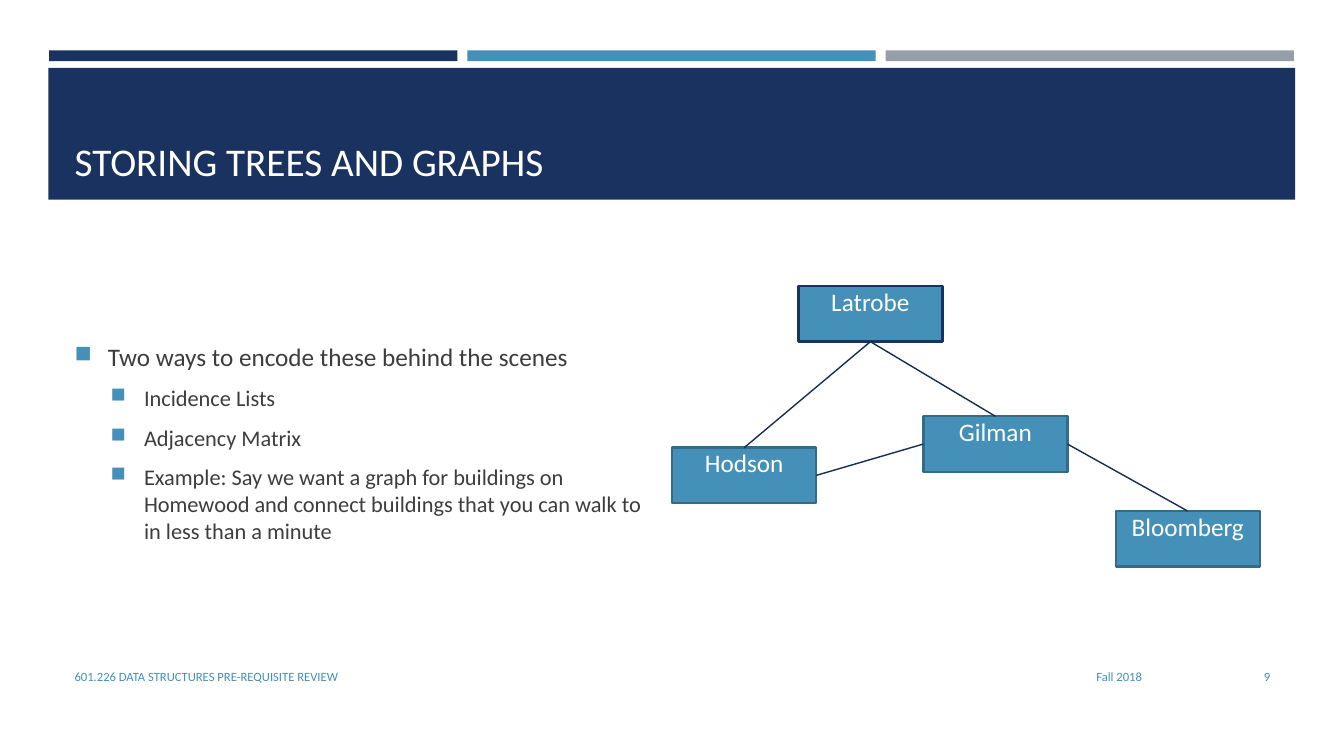
from dataclasses import dataclass

from lxml import etree
from pptx import Presentation
from pptx.dml.color import RGBColor
from pptx.enum.shapes import MSO_CONNECTOR, MSO_SHAPE
from pptx.enum.text import MSO_ANCHOR, PP_ALIGN
from pptx.oxml.ns import qn
from pptx.util import Cm, Pt

RECT, STRAIGHT = MSO_SHAPE.RECTANGLE, MSO_CONNECTOR.STRAIGHT
TOP_ANCHOR, MIDDLE, BOTTOM_ANCHOR = MSO_ANCHOR.TOP, MSO_ANCHOR.MIDDLE, MSO_ANCHOR.BOTTOM
LEFT_ALIGN, CENTER, RIGHT_ALIGN = PP_ALIGN.LEFT, PP_ALIGN.CENTER, PP_ALIGN.RIGHT

FONT = "Calibri"
NAVY, BLUE, GRAY = "1A3260", "4590B8", "969FA7"
WHITE, TEXT, NODE_LINE, EDGE_LINE = "FFFFFF", "3D3D3D", "336B88", "172D56"
MARGIN = 1.63
NODE_W, NODE_H = 3.63, 1.4
TOP, LEFT, BOTTOM, RIGHT = range(4)  # connection sites of a rectangle


@dataclass
class Node:
    """A building in the graph."""
    name: str
    x: float
    y: float
    line: str = NODE_LINE


@dataclass
class Edge:
    """A walk between two buildings, with the side used at each end."""
    start: str
    start_site: int
    end: str
    end_site: int


@dataclass
class Bullet:
    """A line of the bulleted list."""
    text: str
    level: int = 1


@dataclass
class Footer:
    """A text in the footer row."""
    text: str
    x: float
    w: float
    align: PP_ALIGN = RIGHT_ALIGN


NODES = [
    Node("Latrobe", 20.12, 7.21, NAVY),
    Node("Hodson", 16.94, 11.28),
    Node("Bloomberg", 28.12, 12.88),
    Node("Gilman", 23.27, 10.49),
]
EDGES = [
    Edge("Latrobe", BOTTOM, "Hodson", TOP),
    Edge("Gilman", RIGHT, "Bloomberg", TOP),
    Edge("Gilman", LEFT, "Hodson", RIGHT),
    Edge("Latrobe", BOTTOM, "Gilman", TOP),
]
BULLETS = [
    Bullet("Two ways to encode these behind the scenes", 0),
    Bullet("Incidence Lists"),
    Bullet("Adjacency Matrix"),
    Bullet("Example: Say we want a graph for buildings on Homewood and connect "
           "buildings that you can walk to in less than a minute"),
]
FOOTERS = [
    Footer("Fall 2018", 21.13, 7.9),
    Footer("601.226 DATA STRUCTURES PRE-REQUISITE REVIEW", MARGIN, 19.2, LEFT_ALIGN),
    Footer("9", 29.34, 2.92),
]


def rgb(color: str) -> RGBColor:
    """Turn a hex string into a colour."""
    return RGBColor.from_string(color)


def write(p, text: str, *, size: float, color: str, align: PP_ALIGN = LEFT_ALIGN) -> None:
    """Write formatted text into a paragraph."""
    p.alignment = align
    r = p.add_run()
    r.text = text
    r.font.name, r.font.size = FONT, Pt(size)
    r.font.color.rgb = rgb(color)


def add_rect(s, x: float, y: float, w: float, h: float, fill: str, line: str = ""):
    """Add a flat rectangle, outlined if a line colour is given."""
    sp = s.shapes.add_shape(RECT, Cm(x), Cm(y), Cm(w), Cm(h))
    sp.shadow.inherit = False
    sp.fill.solid()
    sp.fill.fore_color.rgb = rgb(fill)
    if line:
        sp.line.color.rgb = rgb(line)
        sp.line.width = Pt(1.75)
    else:
        sp.line.fill.background()
    return sp


def add_frame(s, x: float, y: float, w: float, h: float, anchor: MSO_ANCHOR):
    """Add a wrapping text box and return its text frame."""
    tf = s.shapes.add_textbox(Cm(x), Cm(y), Cm(w), Cm(h)).text_frame
    tf.word_wrap = True
    tf.vertical_anchor = anchor
    return tf


def add_bullets(tf, bullets: list[Bullet]) -> None:
    """Fill a text frame with square-bulleted lines."""
    for i, b in enumerate(bullets):
        p = tf.add_paragraph() if i else tf.paragraphs[0]
        p.level = b.level
        p.space_before, p.space_after = Pt(3), Pt(6)
        write(p, b.text, size=16 if b.level else 18, color=TEXT)
        pPr = p._p.get_or_add_pPr()
        pPr.set("marL", str(Cm(0.84 + 0.91 * b.level)))
        pPr.set("indent", str(-Cm(0.84)))
        clr = etree.SubElement(pPr, qn("a:buClr"))
        etree.SubElement(clr, qn("a:srgbClr"), val=BLUE)
        etree.SubElement(pPr, qn("a:buSzPct"), val="92000")
        etree.SubElement(pPr, qn("a:buChar"), char="■")


def add_node(s, node: Node):
    """Add a building box with its name at the top."""
    sp = add_rect(s, node.x, node.y, NODE_W, NODE_H, BLUE, node.line)
    tf = sp.text_frame
    tf.vertical_anchor = TOP_ANCHOR
    tf.margin_top = tf.margin_bottom = 0
    write(tf.paragraphs[0], node.name, size=18, color=WHITE, align=CENTER)
    return sp


def add_edge(s, edge: Edge, boxes: dict) -> None:
    """Connect two building boxes with a straight line."""
    cxn = s.shapes.add_connector(STRAIGHT, 0, 0, 0, 0)
    cxn.begin_connect(boxes[edge.start], edge.start_site)
    cxn.end_connect(boxes[edge.end], edge.end_site)
    cxn.line.color.rgb = rgb(EDGE_LINE)
    cxn.line.width = Pt(1)
    etree.SubElement(cxn._element.spPr, qn("a:effectLst"))


prs = Presentation()
prs.slide_width, prs.slide_height = Cm(33.87), Cm(19.05)
s = prs.slides.add_slide(prs.slide_layouts[6])

for i, color in enumerate((NAVY, BLUE, GRAY)):
    add_rect(s, 1.24 + 10.54 * i, 1.27, 10.29, 0.27, color)
add_rect(s, 1.22, 1.71, 31.42, 3.32, NAVY)

title = add_frame(s, MARGIN, 1.96, 30.63, 2.82, BOTTOM_ANCHOR)
write(title.paragraphs[0], "STORING TREES AND GRAPHS", size=28, color=WHITE)
add_bullets(add_frame(s, MARGIN, 6.05, 15.14, 10.21, MIDDLE), BULLETS)
for f in FOOTERS:
    tf = add_frame(s, f.x, 16.54, f.w, 1.02, MIDDLE)
    write(tf.paragraphs[0], f.text, size=9, color=BLUE, align=f.align)

boxes = {node.name: add_node(s, node) for node in NODES}
for edge in EDGES:
    add_edge(s, edge, boxes)

prs.save("out.pptx")
